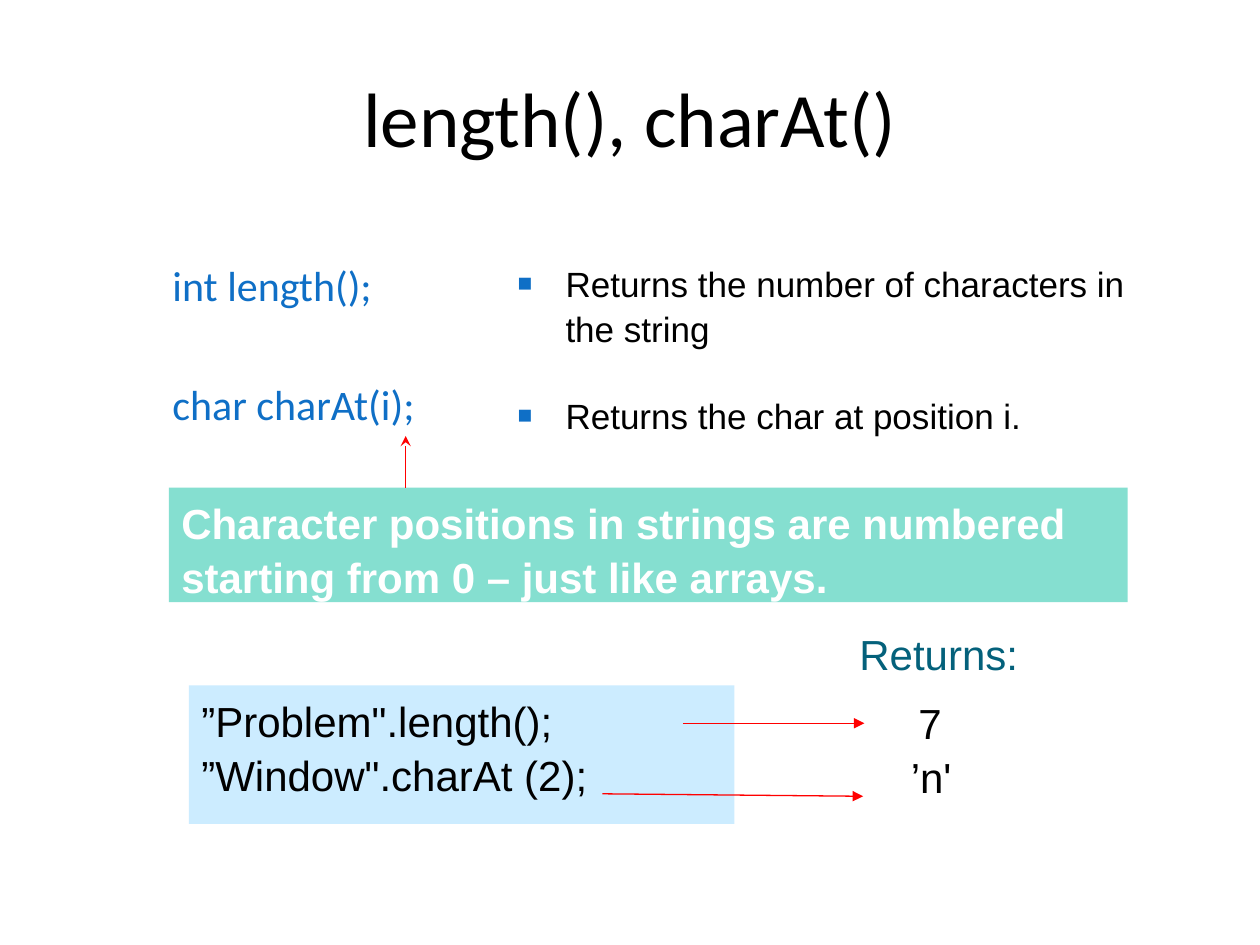
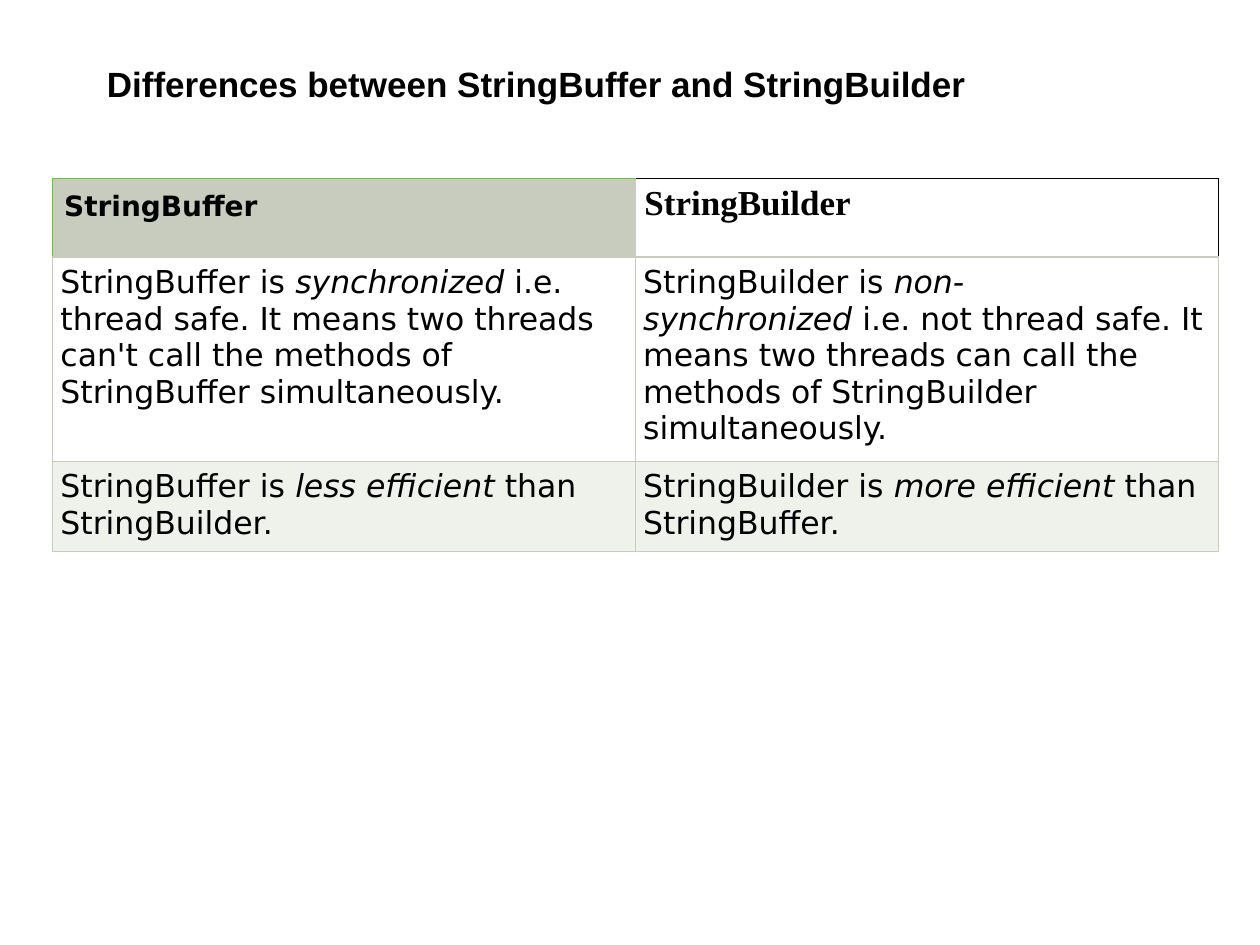
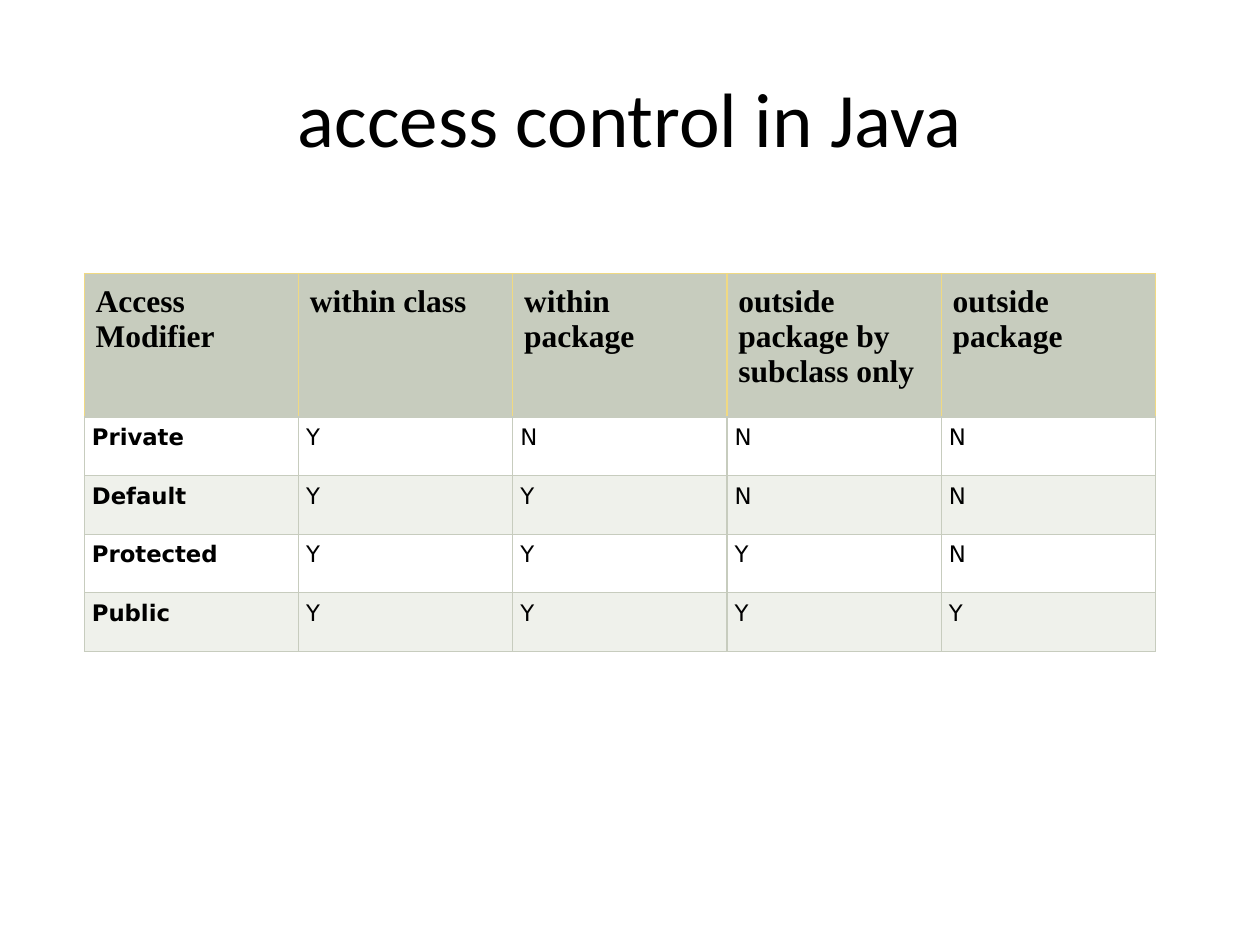
from lxml import etree
from pptx import Presentation
from pptx.dml.color import RGBColor
from pptx.enum.shapes import MSO_CONNECTOR, MSO_SHAPE
from pptx.enum.text import MSO_ANCHOR, PP_ALIGN
from pptx.oxml.ns import qn
from pptx.util import Inches, Pt

LEFT, CENTER = PP_ALIGN.LEFT, PP_ALIGN.CENTER
TOP, MIDDLE = MSO_ANCHOR.TOP, MSO_ANCHOR.MIDDLE
RECTANGLE, STRAIGHT = MSO_SHAPE.RECTANGLE, MSO_CONNECTOR.STRAIGHT

# Slide grid: 100 columns by 75 rows of square cells
WIDTH, HEIGHT = Inches(10), Inches(7.5)
COLUMNS = 100
CELL = WIDTH / COLUMNS

# Shared palette and fonts
BLACK, WHITE, BLUE, TEAL, RED = "000000", "FFFFFF", "0F6FC6", "04617B", "FF0000"
MINT, SKY = "85DFD0", "CCECFF"
SAGE, PALE, GREEN, GOLD = "C7CCBE", "EFF1EB", "60CA28", "F0D982"
HEADING, BODY, TABLE, SERIF = "Calibri", "Arial", "DejaVu Sans", "Times New Roman"
TEXT_LEADING = 1.07
HANGING = 3.8


def rgb(color):
    return RGBColor.from_string(color)


def grid(*cells):
    return [round(n * CELL) for n in cells]


def add_xml(parent, tag, **attributes):
    return etree.SubElement(parent, qn(tag), attributes)


def set_font(font, name, size, color, bold=False):
    font.name, font.size, font.bold = name, Pt(size), bold
    font.color.rgb = rgb(color)


def add_runs(paragraph, text):
    """Add text; the parts between asterisks are italic."""
    for i, part in enumerate(text.split("*")):
        run = paragraph.add_run()
        run.text = part
        if i % 2:
            run.font.italic = True


def indent(paragraph, left, first):
    left, first = grid(left, first)
    properties = paragraph._p.get_or_add_pPr()
    properties.set("marL", str(left))
    properties.set("indent", str(first))
    return properties


def add_bullet(paragraph, color):
    properties = indent(paragraph, HANGING, -HANGING)
    add_xml(add_xml(properties, "a:buClr"), "a:srgbClr", val=color)
    add_xml(properties, "a:buSzPct", val="70000")
    add_xml(properties, "a:buFont", typeface=BODY)
    add_xml(properties, "a:buChar", char="■")


def add_text(slide, at, lines, size, font=BODY, color=BLACK, bold=False,
             align=LEFT, anchor=TOP, fill=None, gaps=(), bullet=None):
    """Write one paragraph per line, in a text box or a filled rectangle."""
    if fill:
        box = slide.shapes.add_shape(RECTANGLE, *grid(*at))
        box.shadow.inherit = False
        box.fill.solid()
        box.fill.fore_color.rgb = rgb(fill)
        box.line.fill.background()
    else:
        box = slide.shapes.add_textbox(*grid(*at))
    frame = box.text_frame
    frame.word_wrap, frame.vertical_anchor = True, anchor
    for i, line in enumerate(lines):
        paragraph = frame.paragraphs[0] if i == 0 else frame.add_paragraph()
        paragraph.alignment = align
        if font == BODY:
            paragraph.line_spacing = TEXT_LEADING
        if gaps:
            paragraph.space_before = Pt(gaps[i])
        if bullet:
            add_bullet(paragraph, bullet)
        set_font(paragraph.font, font, size, color, bold)
        add_runs(paragraph, line)
    return frame


def add_title(slide, title):
    add_text(slide, (5, 3, 90, 12.5), [title], 44, HEADING,
             align=CENTER, anchor=MIDDLE)


def add_arrow(slide, start, end, head="triangle"):
    arrow = slide.shapes.add_connector(STRAIGHT, *grid(*start, *end))
    arrow.line.color.rgb = rgb(RED)
    arrow.line.width = Pt(0.75)
    add_xml(arrow.line._get_or_add_ln(), "a:tailEnd", type=head)
    add_xml(arrow._element.spPr, "a:effectLst")


def add_borders(cell, left, right, top, bottom):
    properties = cell._tc.get_or_add_tcPr()
    sides = zip(("L", "R", "T", "B"), (left, right, top, bottom))
    for i, (side, color) in enumerate(sides):
        line = etree.Element(qn("a:ln" + side), w=str(Pt(0.75)))
        add_xml(add_xml(line, "a:solidFill"), "a:srgbClr", val=color)
        properties.insert(i, line)


def add_table(slide, at, widths, heights):
    left, top = at
    table = slide.shapes.add_table(
        len(heights), len(widths),
        *grid(left, top, sum(widths), sum(heights))).table
    table.first_row = table.horz_banding = False
    for column, width in zip(table.columns, grid(*widths)):
        column.width = width
    for row, height in zip(table.rows, grid(*heights)):
        row.height = height
    return table


def fill_cell(cell, text, size, font=TABLE, bold=False, fill=None,
              inset=(0.6, 0.6), borders=(SAGE,) * 4):
    side, top = grid(*inset)
    cell.margin_left = cell.margin_right = side
    cell.margin_top = cell.margin_bottom = top
    if fill:
        cell.fill.solid()
        cell.fill.fore_color.rgb = rgb(fill)
    else:
        cell.fill.background()
    add_borders(cell, *borders)
    paragraph = cell.text_frame.paragraphs[0]
    set_font(paragraph.font, font, size, BLACK, bold)
    add_runs(paragraph, text)


def fill_body(table, rows, size, bold_first=False):
    """Fill the rows under the header in alternating colours."""
    for r, row in enumerate(rows, start=1):
        for c, text in enumerate(row):
            fill_cell(table.cell(r, c), text, size, bold=bold_first and c == 0,
                      fill=WHITE if r % 2 else PALE)


def build_string_methods(slide):
    add_title(slide, "length(), charAt()")

    # Signatures and what they return
    signatures = add_text(slide, (12.7, 20.1, 23.8, 14.7),
                          ["int length();", "char charAt(i);"],
                          24, HEADING, BLUE, gaps=(4.8, 39))
    for signature in signatures.paragraphs:
        indent(signature, HANGING, -HANGING)
    add_text(slide, (40.1, 20.1, 51.5, 15.3),
             ["Returns the number of characters in the string",
              "Returns the char at position i."],
             20, gaps=(0, 24), bullet=BLUE)

    # Examples and results
    results = add_text(slide, (71.3, 54.6, 12.2, 11), ["7", "’n'"], 24)
    indent(results.paragraphs[0], 0, 0.6)
    add_text(slide, (15, 54.4, 43.3, 11),
             ["”Problem\".length();", "”Window\".charAt (2);"], 24, fill=SKY)
    add_text(slide, (66.6, 49.1, 15.8, 5), ["Returns:"], 24,
             color=TEAL, align=CENTER)
    add_arrow(slide, (47.8, 63), (68.5, 63.2))
    add_arrow(slide, (54.2, 57.4), (68.6, 57.4))

    # Note on positions
    add_text(slide, (13.4, 38.7, 76.1, 9.1),
             ["Character positions in strings are numbered starting from 0 "
              "– just like arrays."], 24, color=WHITE, bold=True, fill=MINT)
    add_arrow(slide, (32.2, 38.7), (32.2, 34.6), "stealth")


def build_buffer_comparison(slide):
    table = add_table(slide, (4.2, 14.2), [46.25] * 2, [6.2, 16.2, 7.2])
    fill_cell(table.cell(0, 0), "StringBuffer", 16, bold=True, fill=SAGE,
              inset=(0.9, 0.9), borders=(GREEN, SAGE, GREEN, SAGE))
    fill_cell(table.cell(0, 1), "StringBuilder", 20, SERIF, bold=True,
              inset=(0.7, 0.4), borders=(SAGE, BLACK, BLACK, SAGE))
    fill_body(table, [
        ["StringBuffer is\u00a0*synchronized*\u00a0i.e. thread safe. It means two "
         "threads can't call the methods of StringBuffer simultaneously.",
         "StringBuilder is\u00a0*non-synchronized*\u00a0i.e. not thread safe. It means "
         "two threads can call the methods of StringBuilder simultaneously."],
        ["StringBuffer is\u00a0*less efficient*\u00a0than StringBuilder.",
         "StringBuilder is\u00a0*more efficient*\u00a0than StringBuffer."],
    ], 18)
    add_text(slide, (7.5, 4.2, 90, 4.4),
             ["Differences between StringBuffer and StringBuilder"], 20, bold=True)


def build_access_control(slide):
    add_title(slide, "access control in Java")
    headers = ["Access Modifier", "within class", "within package",
               "outside package by subclass only", "outside package"]
    modifiers = ["Private", "Default", "Protected", "Public"]
    table = add_table(slide, (6.7, 21.7), [17] * len(headers),
                      [11.4] + [4.65] * len(modifiers))
    for c, header in enumerate(headers):
        fill_cell(table.cell(0, c), header, 18, SERIF, bold=True, fill=SAGE,
                  inset=(0.9, 0.9), borders=(GOLD, GOLD, GOLD, SAGE))
    # Each modifier opens one more scope than the one before
    scopes = len(headers) - 1
    fill_body(table, [
        [modifier] + ["Y" if scope <= level else "N" for scope in range(scopes)]
        for level, modifier in enumerate(modifiers)
    ], 13, bold_first=True)


def main():
    deck = Presentation()
    deck.slide_width, deck.slide_height = WIDTH, HEIGHT
    blank = deck.slide_layouts[6]
    for build in (build_string_methods, build_buffer_comparison,
                  build_access_control):
        build(deck.slides.add_slide(blank))
    deck.save("out.pptx")


main()
